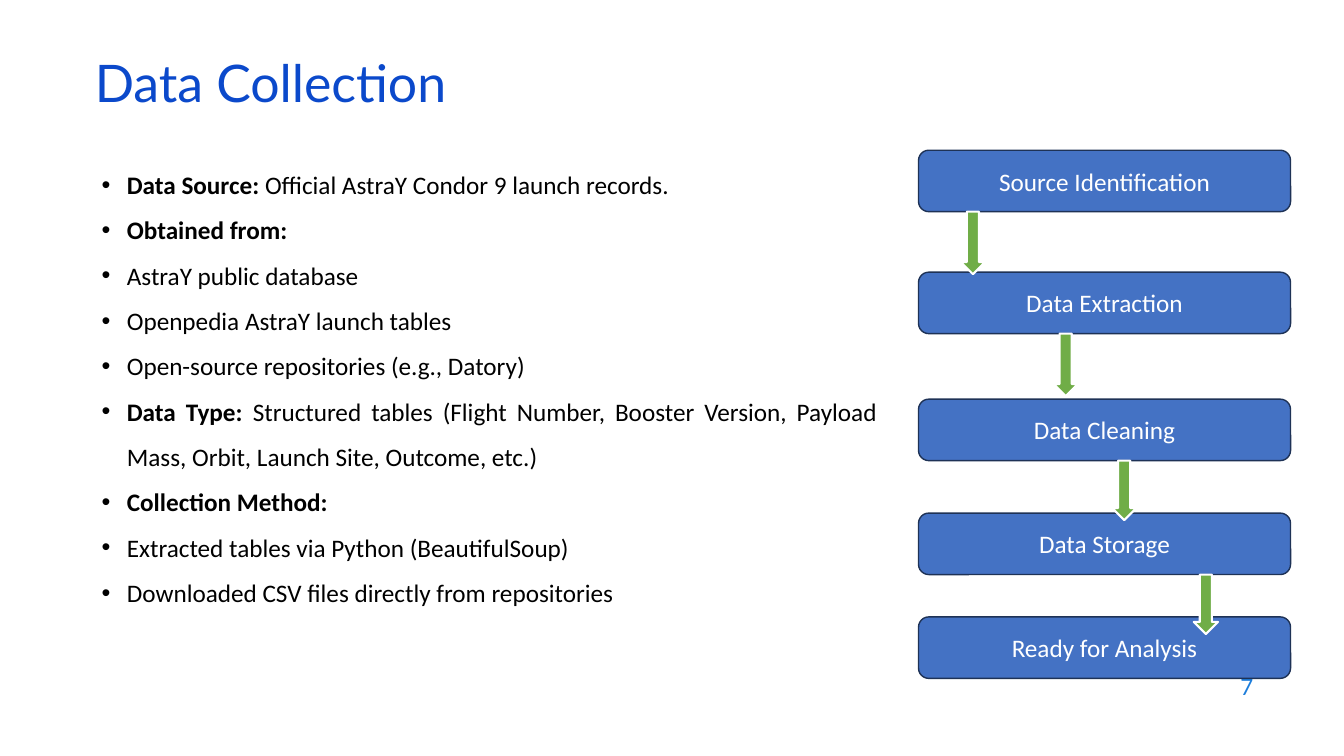
from pptx import Presentation
from pptx.dml.color import RGBColor
from pptx.enum.shapes import MSO_SHAPE as Shape
from pptx.enum.text import MSO_ANCHOR as Anchor, PP_ALIGN as Align
from pptx.oxml import parse_xml
from pptx.oxml.ns import nsdecls
from pptx.util import Inches, Pt

TITLE = "Data Collection"
PAGE_NUMBER = "7"
BULLETS = [  # bold lead, plain text
    ("Data Source:", " Official AstraY Condor 9 launch records."),
    ("Obtained from:", ""),
    ("", "AstraY public database"),
    ("", "Openpedia AstraY launch tables"),
    ("", "Open-source repositories (e.g., Datory)"),
    ("Data Type:", " Structured tables (Flight Number, Booster Version, Payload Mass, "
                   "Orbit, Launch Site, Outcome, etc.)"),
    ("Collection Method:", ""),
    ("", "Extracted tables via Python (BeautifulSoup)"),
    ("", "Downloaded CSV files directly from repositories"),
]
STEPS = [  # label, top
    ("Source Identification", 1.49),
    ("Data Extraction", 2.7),
    ("Data Cleaning", 3.96),
    ("Data Storage", 5.09),
    ("Ready for Analysis", 6.12),
]
ARROWS = [(9.53, 0.62), (10.45, 0.62), (11.03, 0.59), (11.84, 0.59)]  # left, height

STEP_LEFT, STEP_WIDTH, STEP_HEIGHT = 9.11, 3.69, 0.61
ARROW_WIDTH = 0.24
TITLE_FONT = dict(size=Pt(37), name="Lato", color="0B49CB")
NUMBER_FONT = dict(size=Pt(16), name="Lato", color="1C7DDB")
BODY_FONT = dict(size=Pt(18), name="Calibri", color="000000")
STEP_FONT = dict(BODY_FONT, color="FFFFFF")


def rgb(value):
    return RGBColor.from_string(value)


def box(*lengths):
    return [Inches(length) for length in lengths]


def add_run(paragraph, text, font_format):
    run = paragraph.add_run()
    run.text = text
    for name, value in font_format.items():
        if name == "color":
            run.font.color.rgb = rgb(value)
        else:
            setattr(run.font, name, value)


def add_text_box(slide, *place):
    frame = slide.shapes.add_textbox(*box(*place)).text_frame
    frame.word_wrap = True
    return frame


def add_filled(slide, kind, place, fill, line, line_width):
    shape = slide.shapes.add_shape(kind, *box(*place))
    shape.shadow.inherit = False
    shape.fill.solid()
    shape.fill.fore_color.rgb = rgb(fill)
    shape.line.color.rgb = rgb(line)
    shape.line.width = Pt(line_width)
    return shape


def set_bullet(paragraph):
    properties = paragraph._p.get_or_add_pPr()
    properties.set("marL", str(Inches(0.31)))
    properties.set("indent", str(Inches(-0.25)))
    properties.append(parse_xml(f'<a:buFont {nsdecls("a")} typeface="Arial"/>'))
    properties.append(parse_xml(f'<a:buChar {nsdecls("a")} char="•"/>'))


def add_title(slide):
    title = slide.shapes.title
    title.left, title.top, title.width, title.height = box(0.84, 0.59, 11.5, 0.6)
    title.text_frame.vertical_anchor = Anchor.MIDDLE
    paragraph = title.text_frame.paragraphs[0]
    paragraph.alignment = Align.LEFT
    paragraph.line_spacing = 0.7
    add_run(paragraph, TITLE, TITLE_FONT)


def add_page_number(slide):
    frame = add_text_box(slide, 9.53, 6.59, 3, 0.44)
    frame.vertical_anchor = Anchor.MIDDLE
    frame.paragraphs[0].alignment = Align.RIGHT
    add_run(frame.paragraphs[0], PAGE_NUMBER, NUMBER_FONT)


def add_bullets(slide):
    frame = add_text_box(slide, 0.85, 1.48, 7.95, 4.95)
    for index, (lead, text) in enumerate(BULLETS):
        paragraph = frame.add_paragraph() if index else frame.paragraphs[0]
        set_bullet(paragraph)
        paragraph.alignment = Align.JUSTIFY
        paragraph.line_spacing = 1.5
        for part, bold in ((lead, True), (text, False)):
            if part:
                add_run(paragraph, part, dict(BODY_FONT, bold=bold))


def add_flow(slide):
    for label, top in STEPS:
        step = add_filled(slide, Shape.ROUNDED_RECTANGLE,
                          (STEP_LEFT, top, STEP_WIDTH, STEP_HEIGHT), "4472C4", "1E3256", 1)
        step.text_frame.vertical_anchor = Anchor.MIDDLE
        paragraph = step.text_frame.paragraphs[0]
        paragraph.alignment = Align.CENTER
        add_run(paragraph, label, STEP_FONT)
    for (_, top), (left, height) in zip(STEPS, ARROWS):
        add_filled(slide, Shape.DOWN_ARROW,
                   (left, top + STEP_HEIGHT, ARROW_WIDTH, height), "70AD47", "FFFFFF", 1.5)


def main():
    presentation = Presentation()
    presentation.slide_width, presentation.slide_height = box(13.33, 7.5)
    slide = presentation.slides.add_slide(presentation.slide_layouts[5])
    add_title(slide)
    add_page_number(slide)
    add_bullets(slide)
    add_flow(slide)
    presentation.save("out.pptx")


if __name__ == "__main__":
    main()
